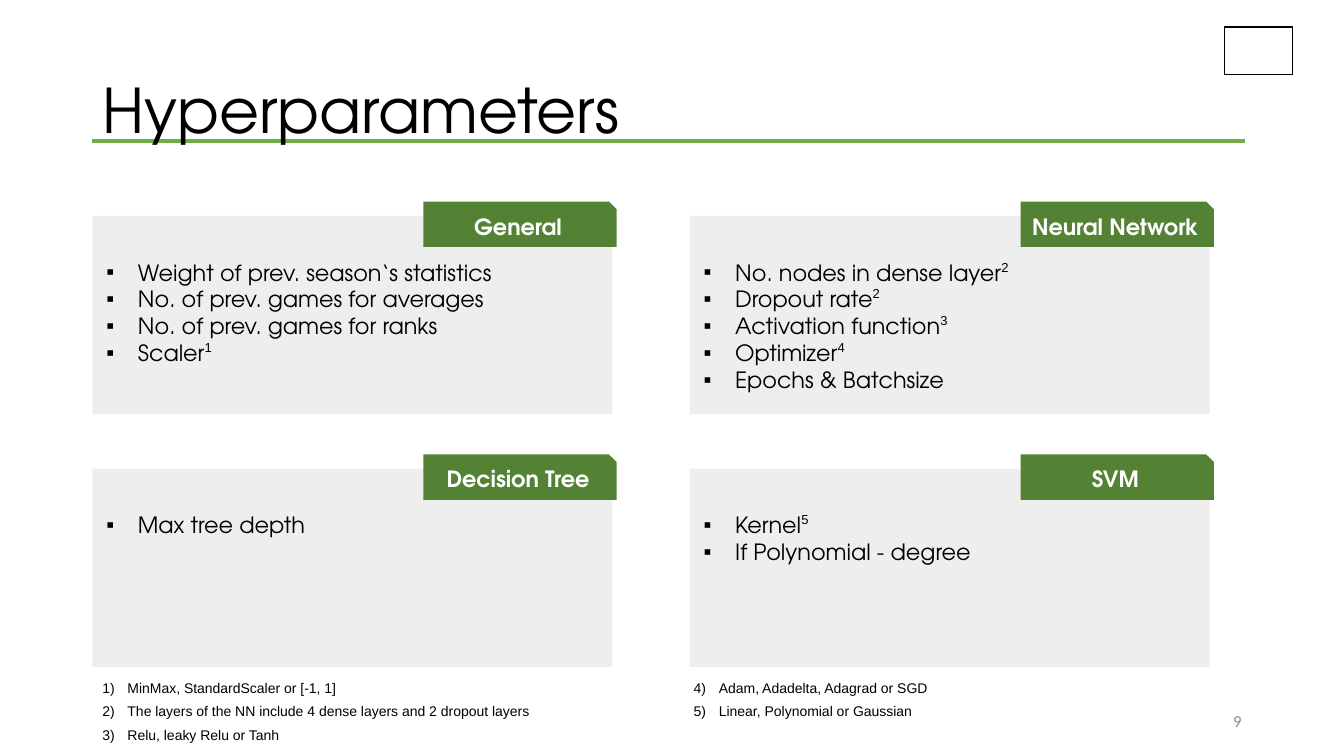
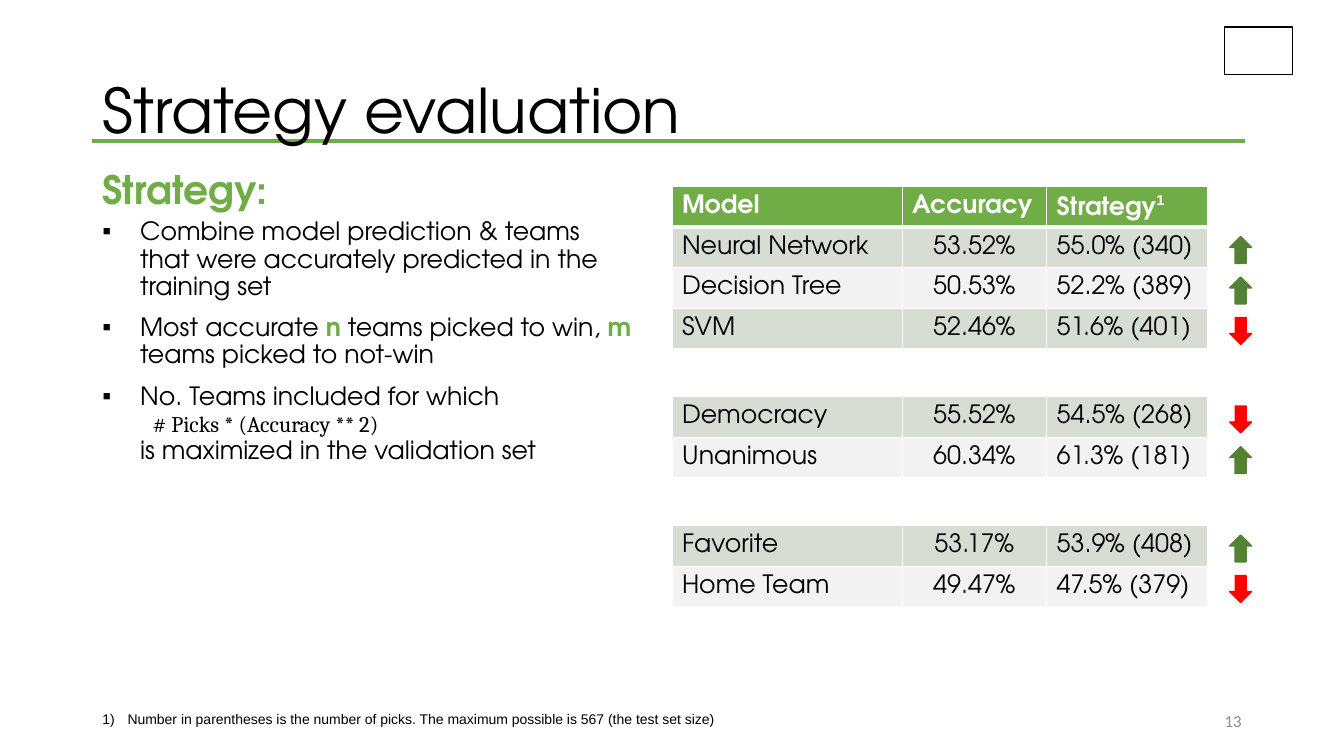
from itertools import product

from lxml.etree import SubElement
from pptx import Presentation
from pptx.dml.color import RGBColor
from pptx.enum.shapes import MSO_CONNECTOR, MSO_SHAPE as SHAPE
from pptx.enum.text import MSO_ANCHOR as ANCHOR, PP_ALIGN as ALIGN
from pptx.oxml import parse_xml
from pptx.oxml.ns import nsdecls, qn
from pptx.util import Emu, Pt

# Shared style: the slide is a grid of 160 columns by 90 rows
COLUMNS, ROWS = 160, 90
CELL = 76200
LEFT = 11
HEAD_FONT, NOTE_FONT = "TeX Gyre Adventor", "Arial"
BLACK, WHITE, GREY = "000000", "FFFFFF", "8C8C8C"
GREEN, DARK_GREEN, RED = "70AD47", "548235", "FF0000"
PANEL, BAND, PALE = "C9C9C9", "385723", "F2F2F2"


def grid(*lengths):
    return [Emu(round(length * CELL)) for length in lengths]


def colour(hex_code):
    return RGBColor.from_string(hex_code)


def sup(mark):
    return mark, dict(font=NOTE_FONT, baseline=40)


def paint(fill, element, hex_code, alpha=100):
    """Solid fill, see-through when alpha is below 100."""
    fill.solid()
    fill.fore_color.rgb = colour(hex_code)
    if alpha < 100:
        tint = next(element.iter(qn("a:srgbClr")))
        SubElement(tint, qn("a:alpha"), val=str(alpha * 1000))


def add_run(paragraph, text, size=16, font=HEAD_FONT, color=BLACK,
            bold=False, baseline=0):
    for number, line in enumerate(text.split("\n")):
        if number:
            paragraph.add_line_break()
        if not line:
            continue
        run = paragraph.add_run()
        run.text = line
        run.font.size, run.font.name, run.font.bold = Pt(size), font, bold
        run.font.color.rgb = colour(color)
        if baseline:
            run.font._element.set("baseline", str(baseline * 1000))


def add_bullet(paragraph, bullet, indent):
    """A text bullet is a character, a number starts a numbered list."""
    props = paragraph._p.get_or_add_pPr()
    hang = round(indent * CELL)
    props.set("marL", str(hang))
    props.set("indent", str(-hang))
    SubElement(props, qn("a:buFont"), typeface=NOTE_FONT)
    if isinstance(bullet, int):
        SubElement(props, qn("a:buAutoNum"), type="arabicParenR",
                   startAt=str(bullet))
    else:
        SubElement(props, qn("a:buChar"), char=bullet)


def write(frame, paragraphs, align=ALIGN.LEFT, anchor=ANCHOR.TOP, spacing=1.0,
          before=0, after=0, bullet=None, indent=3.75, **style):
    """Each paragraph is a string or a list of strings and (text, style)."""
    frame.word_wrap = True
    frame.vertical_anchor = anchor
    for number, runs in enumerate(paragraphs):
        paragraph = frame.paragraphs[-1] if not number else frame.add_paragraph()
        paragraph.alignment = align
        paragraph.line_spacing = spacing
        paragraph.space_before, paragraph.space_after = Pt(before), Pt(after)
        if bullet is not None:
            add_bullet(paragraph, bullet, indent)
        for run in [runs] if isinstance(runs, str) else runs:
            text, own = (run, {}) if isinstance(run, str) else run
            add_run(paragraph, text, **{**style, **own})


def set_borders(cell, bottom=1):
    props = cell._tc.get_or_add_tcPr()
    widths = dict(lnL=1, lnR=1, lnT=1, lnB=bottom)
    for place, (side, width) in enumerate(widths.items()):
        props.insert(place, parse_xml(
            f'<a:{side} {nsdecls("a")} w="{Pt(width)}"><a:solidFill>'
            f'<a:srgbClr val="{WHITE}"/></a:solidFill></a:{side}>'))


class Deck:
    def __init__(self):
        self.show = Presentation()
        self.show.slide_width, self.show.slide_height = grid(COLUMNS, ROWS)
        self.slide = None

    def page(self, title, number):
        """New slide with rule, title, page number and logo frame."""
        self.slide = self.show.slides.add_slide(self.show.slide_layouts[6])
        self.rule(LEFT, 148.2, 16.8)
        self.text((LEFT, 4.8, 138, 17.4), [title], size=44, spacing=0.9,
                  anchor=ANCHOR.MIDDLE)
        self.text((113, 83.4, 36, 4.8), [str(number)], size=12, font="Calibri",
                  color=GREY, align=ALIGN.RIGHT, anchor=ANCHOR.MIDDLE)
        self.shape(SHAPE.RECTANGLE, (145.8, 3.2, 8.1, 5.7), WHITE, line=BLACK)

    def rule(self, start, end, top):
        rule = self.slide.shapes.add_connector(
            MSO_CONNECTOR.STRAIGHT, *grid(start, top, end, top))
        rule.line.color.rgb = colour(GREEN)
        rule.line.width = Pt(3)
        SubElement(rule._element.spPr, qn("a:effectLst"))

    def text(self, box, paragraphs, **style):
        area = self.slide.shapes.add_textbox(*grid(*box))
        write(area.text_frame, paragraphs, **style)

    def notes(self, box, lines, start=1, spacing=0.9):
        self.text(box, lines, size=10, font=NOTE_FONT, bullet=start, indent=3,
                  spacing=spacing, after=6)

    def shape(self, kind, box, fill, alpha=100, line=None, turn=0):
        shape = self.slide.shapes.add_shape(kind, *grid(*box))
        shape.shadow.inherit = False
        shape.rotation = turn
        paint(shape.fill, shape._element.spPr, fill, alpha)
        if line:
            shape.line.color.rgb = colour(line)
            shape.line.width = Pt(1)
        else:
            shape.line.fill.background()
        return shape

    def card(self, left, top, heading, items):
        """Grey panel with a green tab and a bulleted list."""
        self.shape(SHAPE.RECTANGLE, (left, top, 61.9, 23.6), PANEL, alpha=30)
        tab = self.shape(SHAPE.SNIP_1_RECTANGLE,
                         (left + 39.4, top - 1.7, 23, 5.4), DARK_GREEN)
        write(tab.text_frame, [heading], bold=True, color=WHITE,
              align=ALIGN.CENTER, anchor=ANCHOR.MIDDLE)
        self.text((left + 0.5, top + 4.5, 61.9, 17.4), items, bullet="▪")

    def trend(self, middle, rising):
        shade = DARK_GREEN if rising else RED
        self.shape(SHAPE.RIGHT_ARROW, (146.1, middle - 1.3, 3.2, 2.6), shade,
                   line=shade, turn=270 if rising else 90)

    def table(self, left, top, widths, heights, header, rows):
        """Rows of None are blank gaps across the whole table."""
        table = self.slide.shapes.add_table(
            len(heights), len(widths),
            *grid(left, top, sum(widths), sum(heights))).table
        table.first_row = table.horz_banding = False
        for column, width in zip(table.columns, grid(*widths)):
            column.width = width
        for row, height in zip(table.rows, grid(*heights)):
            row.height = height
        banded = False
        for r, values in enumerate([header, *rows]):
            head = r == 0
            banded = bool(values) and not head and not banded
            if head:
                fill, alpha = GREEN, 100
            elif banded:
                fill, alpha = BAND, 20
            else:
                fill, alpha = PALE if values else WHITE, 100
            for c in range(len(widths)):
                cell = table.cell(r, c)
                paint(cell.fill, cell._tc.get_or_add_tcPr(), fill, alpha)
                set_borders(cell, bottom=3 if head else 1)
                if values:
                    centred = c == 1 and not head
                    write(cell.text_frame, [values[c]], size=18, bold=head,
                          color=WHITE if head else BLACK,
                          align=ALIGN.CENTER if centred else ALIGN.LEFT)
                    cell.vertical_anchor = ANCHOR.MIDDLE
            if not values:
                table.cell(r, 0).merge(table.cell(r, len(widths) - 1))


def hyperparameters(deck):
    deck.page("Hyperparameters", 9)

    # Cards, two by two
    cards = [
        ("General", ["Weight of prev. season‘s statistics",
                     "No. of prev. games for averages",
                     "No. of prev. games for ranks",
                     ["Scaler", sup("1")]]),
        ("Neural Network", [["No. nodes in dense layer", sup("2")],
                            ["Dropout rate", sup("2")],
                            ["Activation function", sup("3")],
                            ["Optimizer", sup("4")],
                            "Epochs & Batchsize"]),
        ("Decision Tree", ["Max tree depth"]),
        ("SVM", [["Kernel", sup("5")], "If Polynomial - degree"]),
    ]
    for (row, column), (heading, items) in zip(product(range(2), repeat=2), cards):
        deck.card(LEFT + 71.1 * column, 25.7 + 30.1 * row, heading, items)

    # Footnotes
    deck.notes((LEFT, 80.5, 63.4, 9.5), [
        "MinMax, StandardScaler or [-1, 1]",
        "The layers of the NN include 4 dense layers and 2 dropout layers",
        "Relu, leaky Relu or Tanh"])
    deck.notes((81.4, 80.5, 63.4, 9.5), [
        "Adam, Adadelta, Adagrad or SGD",
        "Linear, Polynomial or Gaussian"], start=4)


def strategy_evaluation(deck):
    deck.page("Strategy evaluation", 13)

    # Results, each with its trend arrow
    results = [
        ("Neural Network", "53.52%", "55.0% (340)", True),
        ("Decision Tree", "50.53%", "52.2% (389)", True),
        ("SVM", "52.46%", "51.6% (401)", False),
        None,
        ("Democracy", "55.52%", "54.5% (268)", False),
        ("Unanimous", "60.34%", "61.3% (181)", True),
        None,
        ("Favorite", "53.17%", "53.9% (408)", True),
        ("Home Team", "49.47%", "47.5% (379)", False),
    ]
    top, line_height, gap_height = 22.2, 4.83, 5.7
    heights = [line_height] + [line_height if r else gap_height for r in results]
    deck.table(80, top, (27.4, 17.2, 19.2), heights,
               ("Model", "Accuracy", ["Strategy", sup("1")]), results)
    for row, result in enumerate(results, 1):
        if result:
            middle = top + sum(heights[:row]) + heights[row] / 2
            deck.trend(middle + 0.3, rising=result[-1])

    # Strategy in words
    strong = dict(color=GREEN, bold=True)
    deck.text((LEFT, 19.7, 65.5, 6), ["Strategy:"], size=28, spacing=0.9,
              **strong)
    deck.text((LEFT, 25.5, 65.5, 54), [
        "Combine model prediction & teams that were accurately predicted "
        "in the training set",
        ["Most accurate ", ("n", strong), " teams picked to win, ",
         ("m", strong), " teams picked to not-win"],
        ["No. Teams included for which \n\t",
         ("# Picks * (Accuracy ** 2)\n", dict(size=16, font="Cambria")),
         "is maximized in the validation set"],
    ], size=18, bullet="▪", indent=4.5, spacing=0.9, before=10)

    # Footnote
    deck.notes((LEFT, 84.4, 131.6, 3), [
        "Number in parentheses is the number of picks. "
        "The maximum possible is 567 (the test set size)"], spacing=0.8)


def main():
    deck = Deck()
    hyperparameters(deck)
    strategy_evaluation(deck)
    deck.show.save("out.pptx")


if __name__ == "__main__":
    main()
